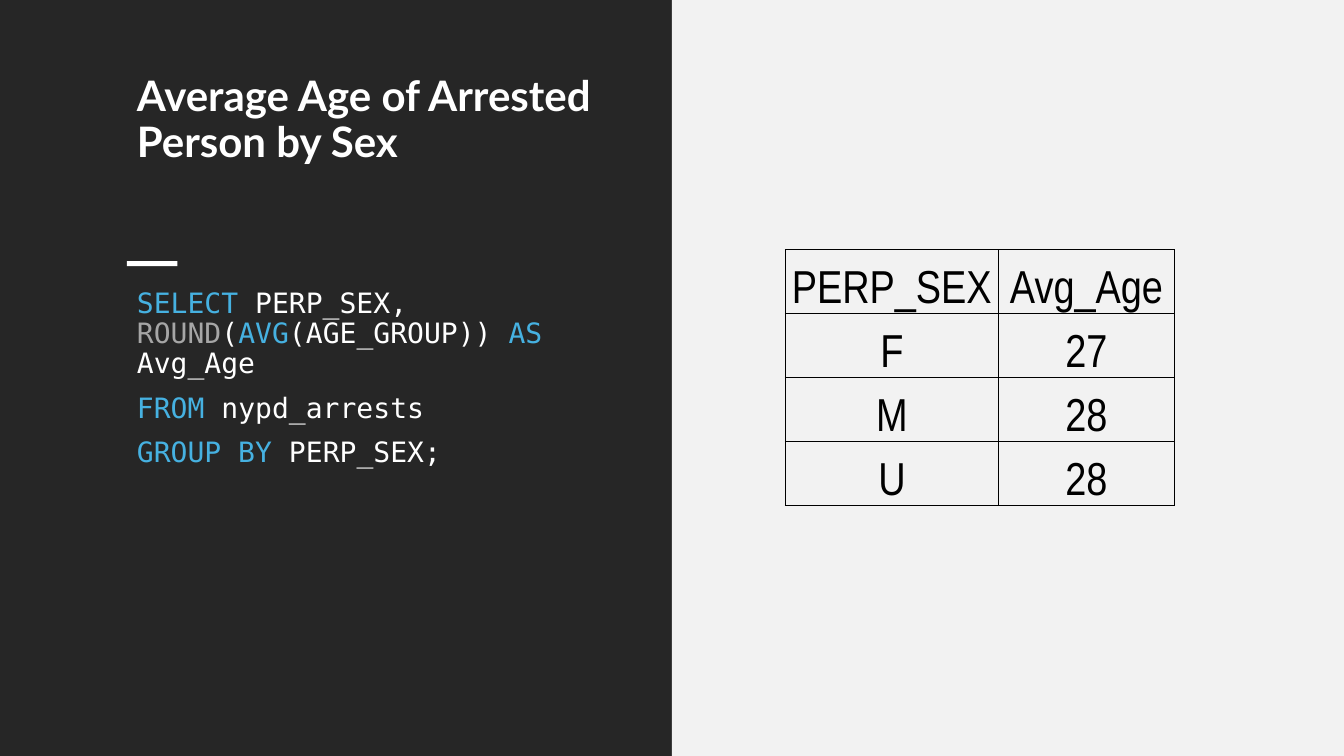
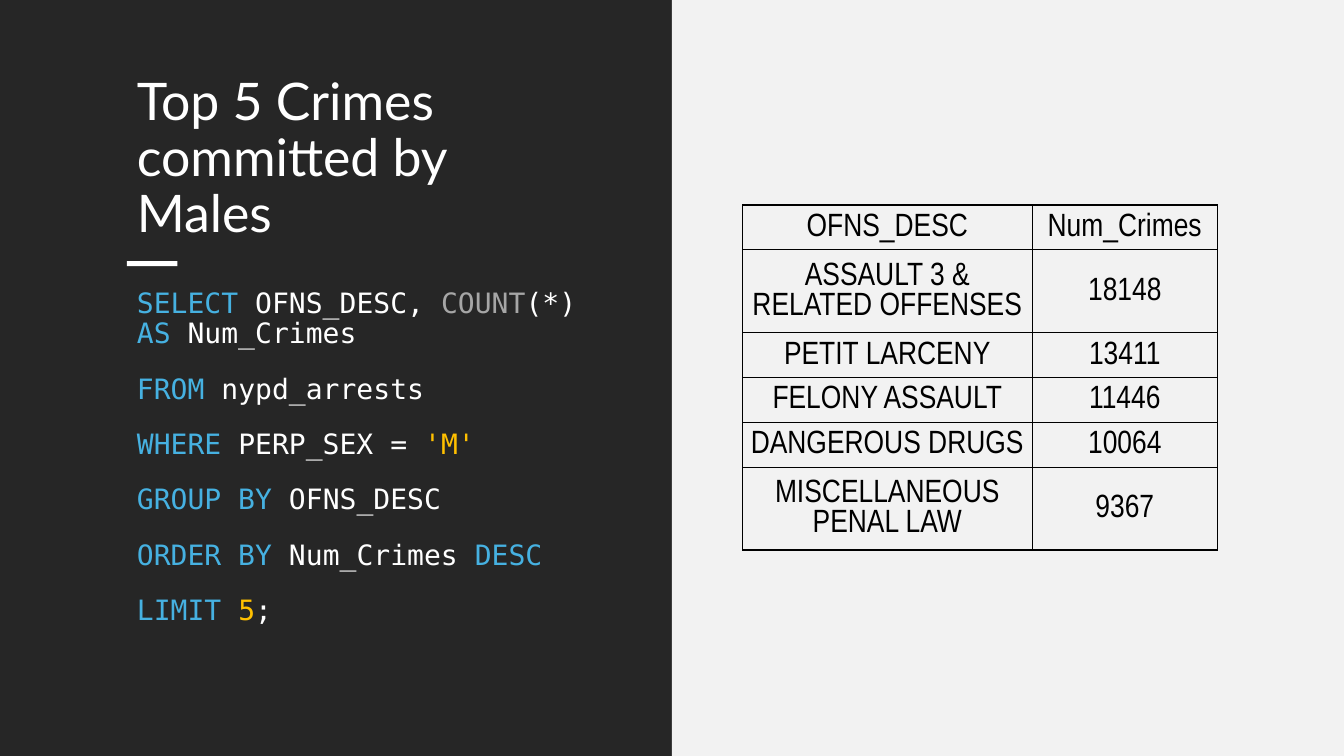
from lxml import etree
from pptx import Presentation
from pptx.dml.color import RGBColor
from pptx.enum.shapes import MSO_SHAPE
from pptx.enum.text import MSO_ANCHOR, PP_ALIGN
from pptx.oxml.ns import qn
from pptx.util import Inches, Pt

RECT = MSO_SHAPE.RECTANGLE
TOP, MID, LOW = MSO_ANCHOR.TOP, MSO_ANCHOR.MIDDLE, MSO_ANCHOR.BOTTOM
CENTER = PP_ALIGN.CENTER

WIDE, HIGH = Inches(13.33), Inches(7.5)
COLORS = {
    "dark": "262626", "light": "F2F2F2", "plain": "FFFFFF", "ink": "000000",
    "key": "46B1E1", "func": "A6A6A6", "value": "FFC000",
}

# Places as percent of the slide: left, top, width, height
LEFT = 9.45
PANELS = {"dark": (0, 0, 50, 100), "light": (50, 0, 50, 100)}
TITLE = (LEFT, 9.33, 35.33, 23.73)
BAR = (LEFT, 34.53, 3.75, 0.67)
CODE = (LEFT, 37.6, 35.2, 52.93)
FOCUS = (72.93, 49.95)  # middle of every table

# Text styles
HEAD = {"name": "Lato"}
MONO = {"name": "DejaVu Sans Mono", "size": Pt(20)}
CELL = {"name": "Arial Narrow"}

SLIDES = [
    {
        "title": "Average Age of Arrested Person by Sex",
        "head": {"size": Pt(30), "bold": True},
        "after": 0,
        "code": [
            [("key", "SELECT "), ("plain", "PERP_SEX, "), ("func", "ROUND"),
             ("plain", "("), ("key", "AVG"), ("plain", "(AGE_GROUP)) "),
             ("key", "AS "), ("plain", "Avg_Age")],
            [("key", "FROM "), ("plain", "nypd_arrests")],
            [("key", "GROUP BY "), ("plain", "PERP_SEX;")],
        ],
        "table": {
            "data": [("PERP_SEX", "Avg_Age"), ("F", "27"), ("M", "28"),
                     ("U", "28")],
            "cols": [15.83, 13.13], "rows": [8.45] * 4,
            "size": 33, "anchor": LOW, "inset": 0.02,
        },
    },
    {
        "title": "Top 5 Crimes committed by Males",
        "head": {"size": Pt(37), "bold": False},
        "after": 8,
        "code": [
            [("key", "SELECT"), ("plain", " OFNS_DESC, "), ("func", "COUNT"),
             ("plain", "(*) "), ("key", "AS "), ("plain", "Num_Crimes")],
            [("key", "FROM "), ("plain", "nypd_arrests")],
            [("key", "WHERE"), ("plain", " PERP_SEX = "), ("value", "'M'")],
            [("key", "GROUP BY "), ("plain", "OFNS_DESC")],
            [("key", "ORDER BY "), ("plain", "Num_Crimes "), ("key", "DESC")],
            [("key", "LIMIT "), ("value", "5"), ("plain", ";")],
        ],
        "table": {
            "data": [("OFNS_DESC", "Num_Crimes"),
                     ("ASSAULT 3 & RELATED OFFENSES", "18148"),
                     ("PETIT LARCENY", "13411"),
                     ("FELONY ASSAULT", "11446"),
                     ("DANGEROUS DRUGS", "10064"),
                     ("MISCELLANEOUS PENAL LAW", "9367")],
            "cols": [21.53, 13.8],
            "rows": [5.93, 10.97, 5.93, 5.93, 5.93, 10.97],
            "size": 23, "anchor": MID, "inset": 0.01,
        },
    },
]


def across(share):
    return round(WIDE * share / 100)


def down(share):
    return round(HIGH * share / 100)


def place(box):
    x, y, w, h = box
    return across(x), down(y), across(w), down(h)


def rgb(color):
    return RGBColor.from_string(COLORS[color])


def style(font, form, color):
    for name, value in form.items():
        setattr(font, name, value)
    font.color.rgb = rgb(color)


def add_block(slide, box, color):
    block = slide.shapes.add_shape(RECT, *place(box))
    block.shadow.inherit = False
    block.fill.solid()
    block.fill.fore_color.rgb = rgb(color)
    block.line.fill.background()


def add_text(slide, box, lines, form, after=0):
    """Each line is a list of (color, text) runs."""
    frame = slide.shapes.add_textbox(*place(box)).text_frame
    frame.word_wrap = True
    frame.vertical_anchor = TOP
    for i, line in enumerate(lines):
        para = frame.add_paragraph() if i else frame.paragraphs[0]
        para.line_spacing = 0.9
        para.space_before = Pt(10 if i else 0)
        para.space_after = Pt(after)
        for color, text in line:
            run = para.add_run()
            run.text = text
            style(run.font, form, color)


def add_edges(cell):
    props = cell._tc.get_or_add_tcPr()
    for i, side in enumerate(("lnL", "lnR", "lnT", "lnB")):
        edge = etree.Element(qn("a:" + side), w=str(Pt(1)))
        fill = etree.SubElement(edge, qn("a:solidFill"))
        etree.SubElement(fill, qn("a:srgbClr"), val=COLORS["ink"])
        props.insert(i, edge)


def add_grid(slide, data, cols, rows, size, anchor, inset):
    wide, high = sum(cols), sum(rows)
    box = (FOCUS[0] - wide / 2, FOCUS[1] - high / 2, wide, high)
    grid = slide.shapes.add_table(len(rows), len(cols), *place(box)).table
    grid.first_row = grid.horz_banding = False
    for col, share in zip(grid.columns, cols):
        col.width = across(share)
    pad = Inches(inset)
    form = {"vertical_anchor": anchor, "margin_left": pad,
            "margin_right": pad, "margin_top": pad, "margin_bottom": 0}
    for row, share, texts in zip(grid.rows, rows, data):
        row.height = down(share)
        for cell, text in zip(row.cells, texts):
            for name, value in form.items():
                setattr(cell, name, value)
            cell.fill.background()
            add_edges(cell)
            para = cell.text_frame.paragraphs[0]
            para.alignment = CENTER
            run = para.add_run()
            run.text = text
            style(run.font, {**CELL, "size": Pt(size)}, "ink")


def main():
    deck = Presentation()
    deck.slide_width, deck.slide_height = WIDE, HIGH
    blank = deck.slide_layouts[6]
    for page in SLIDES:
        slide = deck.slides.add_slide(blank)
        # Panels and accent bar
        for color, box in PANELS.items():
            add_block(slide, box, color)
        add_block(slide, BAR, "plain")
        # Title and query
        add_text(slide, TITLE, [[("plain", page["title"])]],
                 {**HEAD, **page["head"]})
        add_text(slide, CODE, page["code"], MONO, page["after"])
        # Query result
        add_grid(slide, **page["table"])
    deck.save("out.pptx")


if __name__ == "__main__":
    main()
